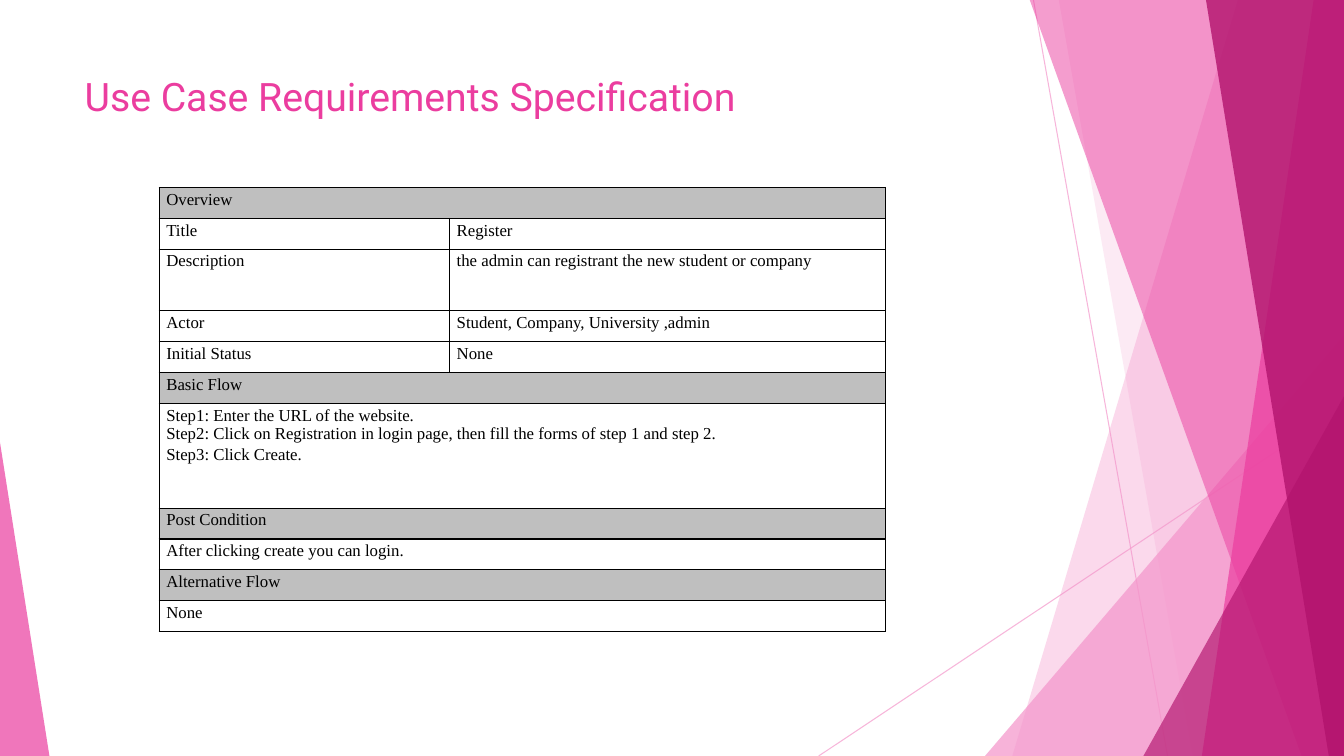
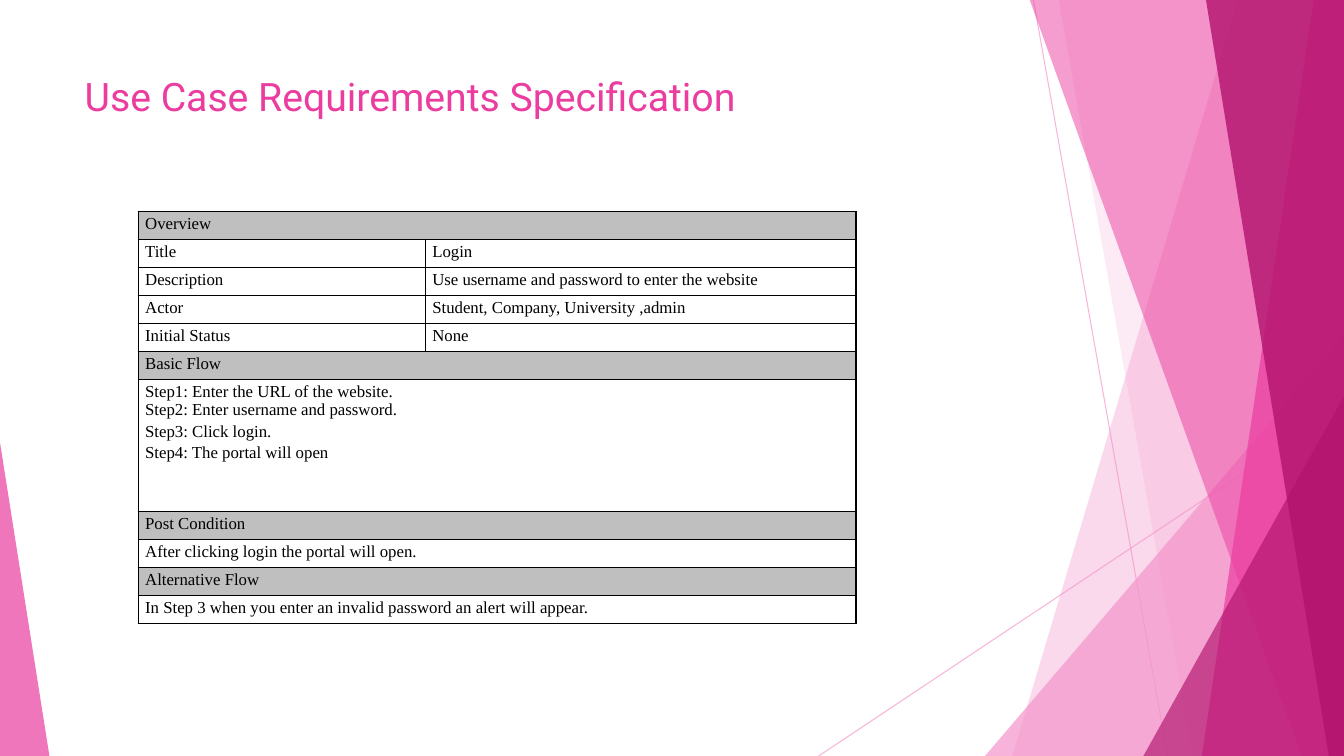
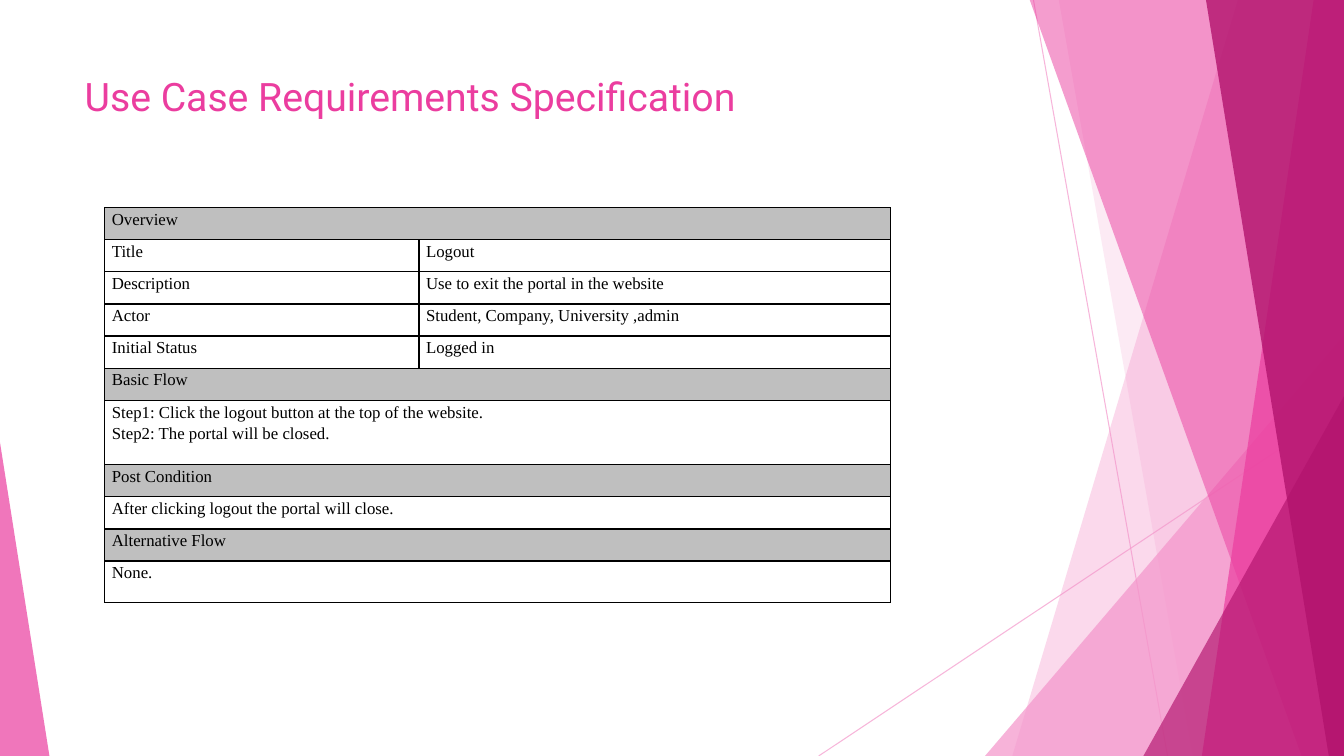
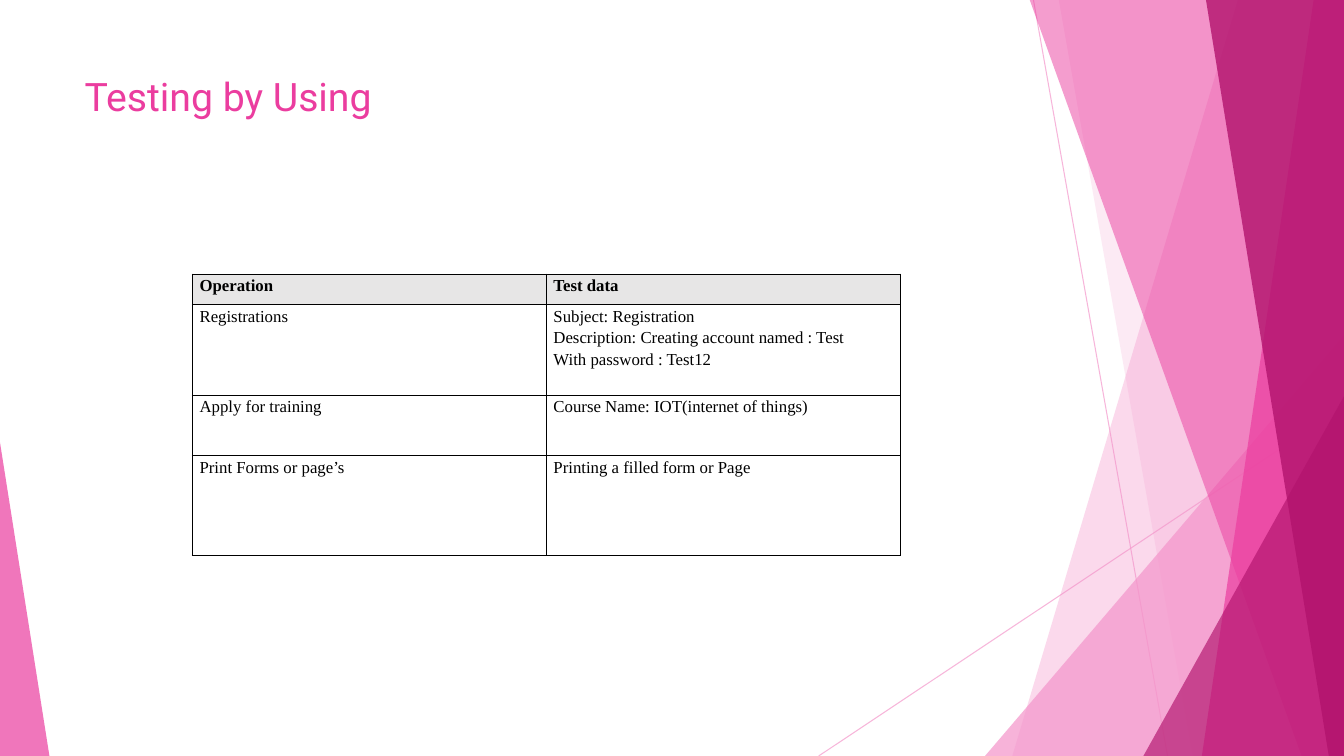
from collections import namedtuple
from dataclasses import dataclass, field

from lxml.etree import SubElement
from pptx import Presentation
from pptx.dml.color import RGBColor
from pptx.enum.shapes import MSO_CONNECTOR as Connector, MSO_SHAPE as Shape
from pptx.enum.text import MSO_ANCHOR as Anchor, MSO_AUTO_SIZE as AutoSize, PP_ALIGN as Align
from pptx.oxml.ns import qn
from pptx.util import Emu, Pt

SCALE = 9144
WIDTH, HEIGHT = 1333, 750
TITLE_ONLY = 5

Box = namedtuple("Box", "left top width height")


@dataclass(frozen=True)
class Theme:
    light: str = "F496CB"
    pink: str = "EB3D9F"
    dark: str = "B2136D"
    ink: str = "000000"
    section: str = "BFBFBF"
    header: str = "E7E6E6"
    title_font: str = "Roboto"
    body_font: str = "Times New Roman"
    title_size: int = 28
    body_size: int = 12
    body_spacing: float = 1.15
    tight_spacing: float = 0.97
    hairline: float = 0.75
    border: int = 1


THEME = Theme()


@dataclass
class UseCase:
    box: Box
    title_height: int
    name: str
    description: str
    status: str
    steps: list
    result: str
    alternative: str
    tall_rows: dict
    tight: set = field(default_factory=set)


USE_CASES = [
    UseCase(
        Box(158, 186, 720, 441), 72, "Register",
        "the admin can registrant the new student or company", "None",
        ["Step1: Enter the URL of the website.",
         "Step2: Click on Registration in login page, then fill the forms of step 1 and step 2.",
         "Step3: Click Create."],
        "After clicking create you can login.", "None", {2: 61, 6: 104}, {1}),
    UseCase(
        Box(137, 210, 712, 409), 65, "Login",
        "Use username and password to enter the website", "None",
        ["Step1: Enter the URL of the website.",
         "Step2: Enter username and password.",
         "Step3: Click login.",
         "Step4: The portal will open"],
        "After clicking login the portal will open.",
        "In Step 3 when you enter an invalid password an alert will appear.", {6: 131}, {1}),
    UseCase(
        Box(104, 206, 779, 392), 80, "Logout",
        "Use to exit the portal in the website", "Logged in",
        ["Step1: Click the logout button at the top of the website.",
         "Step2: The portal will be closed."],
        "After clicking logout the portal will close.", "None.", {6: 64, 10: 41}),
]

TESTS = [
    (["Operation"], ["Test data"]),
    (["Registrations"],
     ["Subject: Registration",
      "Description: Creating account named : Test",
      "With password : Test12"]),
    (["Apply for training"], ["Course Name: IOT(internet of things)"]),
    (["Print Forms or page’s"], ["Printing a filled form or Page"]),
]


def px(value):
    return Emu(round(value * SCALE))


def rgb(color):
    return RGBColor.from_string(color)


def write(frame, lines, *, font=THEME.body_font, size=THEME.body_size, color=THEME.ink,
          bold=False, spacing=THEME.body_spacing, tight=()):
    frame.word_wrap = True
    for index, line in enumerate(lines):
        paragraph = frame.add_paragraph() if index else frame.paragraphs[0]
        paragraph.alignment = Align.LEFT
        paragraph.line_spacing = THEME.tight_spacing if index in tight else spacing
        run = paragraph.add_run()
        run.text = line
        run.font.name = font
        run.font.size = Pt(size)
        run.font.bold = bold
        run.font.color.rgb = rgb(color)


def set_opacity(shape, percent):
    properties = shape.element.spPr
    for color in properties.iter(qn("a:srgbClr")):
        SubElement(color, qn("a:alpha"), val=str(percent * 1000))


def paint(shape, color, opacity):
    shape.shadow.inherit = False
    shape.fill.solid()
    shape.fill.fore_color.rgb = rgb(color)
    shape.line.fill.background()
    set_opacity(shape, opacity)


def add_ray(shapes, start, end):
    ray = shapes.add_connector(Connector.STRAIGHT, *map(px, start + end))
    ray.line.color.rgb = rgb(THEME.light)
    ray.line.width = Pt(THEME.hairline)
    set_opacity(ray, 70)
    SubElement(ray.element.spPr, qn("a:effectLst"))


def add_shard(shapes, top_left, bottom_left, color, opacity):
    outline = shapes.build_freeform(top_left, -1, scale=float(SCALE))
    outline.add_line_segments([(WIDTH, -1), (WIDTH, HEIGHT), (bottom_left, HEIGHT)])
    paint(outline.convert_to_shape(), color, opacity)


def add_wedge(shapes, left, top, right, peak, color, opacity):
    wedge = shapes.add_shape(Shape.ISOSCELES_TRIANGLE, px(left), px(top),
                             px(right - left), px(HEIGHT - top))
    wedge.adjustments[0] = peak
    paint(wedge, color, opacity)


def decorate(layout, slide):
    facets = slide.shapes.add_group_shape()
    shapes = facets.shapes
    add_ray(shapes, (1025, 0), (1158, HEIGHT))
    add_ray(shapes, (WIDTH, 403), (812, HEIGHT))
    add_shard(shapes, 1228, 1004, THEME.light, 36)
    add_shard(shapes, 1050, 1183, THEME.light, 20)
    add_wedge(shapes, 977, 333, WIDTH, 1, THEME.light, 72)
    add_shard(shapes, 1021, 1291, THEME.pink, 50)
    add_shard(shapes, 1303, 1192, THEME.pink, 70)
    add_shard(shapes, 1196, 1318, THEME.dark, 80)
    add_wedge(shapes, 1134, 393, WIDTH, 1, THEME.dark, 66)
    add_wedge(shapes, 0, 439, 49, 0, THEME.pink, 70)
    for number, properties in enumerate(facets.element.iter(qn("p:cNvPr")), 100):
        properties.set("id", str(number))
    layout.shapes.element.insert(2, facets.element)


def add_title(slide, text, height):
    title = slide.shapes.title
    title.left, title.top, title.width, title.height = map(px, (74, 67, 940, height))
    frame = title.text_frame
    frame.auto_size = AutoSize.NONE
    frame.vertical_anchor = Anchor.TOP
    write(frame, [text], font=THEME.title_font, size=THEME.title_size,
          color=THEME.pink, spacing=1.0)


def format_cell(cell, fill, right_inset):
    cell.margin_left, cell.margin_right = px(7), px(right_inset)
    cell.margin_top = cell.margin_bottom = 0
    cell.vertical_anchor = Anchor.TOP
    properties = cell._tc.get_or_add_tcPr()
    for side in ("a:lnL", "a:lnR", "a:lnT", "a:lnB"):
        edge = SubElement(properties, qn(side), w=str(Pt(THEME.border)))
        SubElement(SubElement(edge, qn("a:solidFill")), qn("a:srgbClr"), val=THEME.ink)
    if fill:
        cell.fill.solid()
        cell.fill.fore_color.rgb = rgb(fill)
    else:
        cell.fill.background()


def add_grid(slide, box, rows, *, split, tall_rows, fills, right_inset, bold_rows=(), tight=()):
    table = slide.shapes.add_table(len(rows), 2, *map(px, box)).table
    table.first_row = table.horz_banding = False
    table.columns[0].width = px(box.width * split)
    table.columns[1].width = px(box.width * (1 - split))
    plain_height = (box.height - sum(tall_rows.values())) / (len(rows) - len(tall_rows))
    for index, entries in enumerate(rows):
        table.rows[index].height = px(tall_rows.get(index, plain_height))
        for column in range(2):
            format_cell(table.cell(index, column), fills.get(index), right_inset)
        if len(entries) == 1:
            table.cell(index, 0).merge(table.cell(index, 1))
        for column, lines in enumerate(entries):
            write(table.cell(index, column).text_frame, lines,
                  bold=index in bold_rows, tight=tight)


def add_use_case(slide, case):
    add_title(slide, "Use Case Requirements Specification", case.title_height)
    rows = [
        (["Overview"],),
        (["Title"], [case.name]),
        (["Description"], [case.description]),
        (["Actor"], ["Student, Company, University ,admin"]),
        (["Initial Status"], [case.status]),
        (["Basic Flow"],),
        (case.steps,),
        (["Post Condition"],),
        ([case.result],),
        (["Alternative Flow"],),
        ([case.alternative],),
    ]
    add_grid(slide, case.box, rows, split=0.4, tall_rows=case.tall_rows,
             fills=dict.fromkeys((0, 5, 7, 9), THEME.section), right_inset=8, tight=case.tight)


def add_tests(slide, box):
    add_title(slide, "Testing by Using", 72)
    add_grid(slide, box, TESTS, split=0.5, tall_rows={1: 90, 2: 60, 3: 99},
             fills={0: THEME.header}, right_inset=3, bold_rows={0})


def main():
    deck = Presentation()
    deck.slide_width, deck.slide_height = px(WIDTH), px(HEIGHT)
    layout = deck.slide_layouts[TITLE_ONLY]
    slides = [deck.slides.add_slide(layout) for _ in range(len(USE_CASES) + 1)]
    decorate(layout, slides[0])
    for slide, case in zip(slides, USE_CASES):
        add_use_case(slide, case)
    add_tests(slides[-1], Box(191, 272, 702, 279))
    deck.save("out.pptx")


if __name__ == "__main__":
    main()
